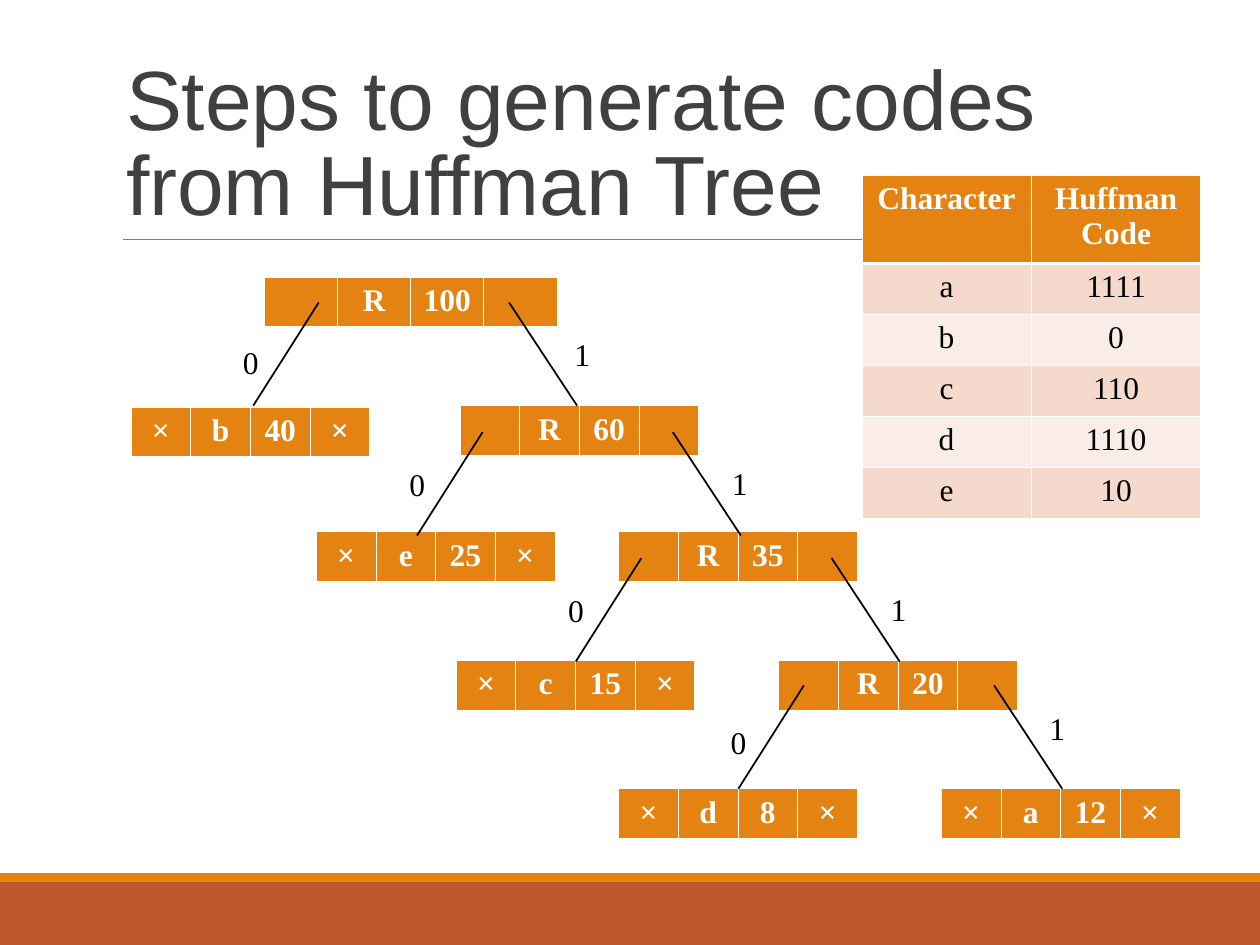
from lxml import etree
from pptx import Presentation
from pptx.dml.color import RGBColor
from pptx.enum.shapes import MSO_CONNECTOR, MSO_SHAPE
from pptx.enum.text import MSO_ANCHOR, MSO_AUTO_SIZE, PP_ALIGN
from pptx.oxml.ns import qn
from pptx.util import Inches, Pt

STRAIGHT = MSO_CONNECTOR.STRAIGHT
RECTANGLE = MSO_SHAPE.RECTANGLE
BOTTOM = MSO_ANCHOR.BOTTOM
NO_FIT = MSO_AUTO_SIZE.NONE
CENTER = PP_ALIGN.CENTER

ORANGE = RGBColor(0xE4, 0x83, 0x12)
RUST = RGBColor(0xBD, 0x58, 0x2C)
PEACH = RGBColor(0xF5, 0xD9, 0xCC)
PALE_PEACH = RGBColor(0xFA, 0xED, 0xE7)
CHARCOAL = RGBColor(0x40, 0x40, 0x40)
GRAY = RGBColor(0x7F, 0x7F, 0x7F)
BLACK = RGBColor(0, 0, 0)
WHITE = RGBColor(0xFF, 0xFF, 0xFF)
SERIF = "Times New Roman"

deck = Presentation()
deck.slide_width = Inches(10)
deck.slide_height = Inches(7.5)
COL = deck.slide_width // 100
ROW = deck.slide_height // 75
slide = deck.slides.add_slide(deck.slide_layouts[5])
shapes = slide.shapes


def draw_line(x1, y1, x2, y2, color, weight):
    line = shapes.add_connector(STRAIGHT, int(x1 * COL), int(y1 * ROW),
                                int(x2 * COL), int(y2 * ROW))
    line.line.color.rgb = color
    line.line.width = Pt(weight)
    etree.SubElement(line._element.spPr, qn("a:effectLst"))


def draw_table(x, y, widths, heights, rows):
    table = shapes.add_table(len(rows), len(widths), int(x * COL), int(y * ROW),
                             int(sum(widths) * COL), int(sum(heights) * ROW)).table
    table.horz_banding = False
    for column, width in zip(table.columns, widths):
        column.width = int(width * COL)
    for r, values in enumerate(rows):
        table.rows[r].height = int(heights[r] * ROW)
        header = r == 0
        for c, value in enumerate(values):
            cell = table.cell(r, c)
            cell.fill.solid()
            cell.fill.fore_color.rgb = ORANGE if header else (PALE_PEACH, PEACH)[r % 2]
            thick_side = {0: "B", 1: "T"}.get(r)
            for position, side in enumerate("LRTB"):
                weight = 1.47 if side == thick_side else 0.45
                border = etree.Element(qn("a:ln" + side), w=str(int(Pt(weight))))
                paint = etree.SubElement(border, qn("a:solidFill"))
                etree.SubElement(paint, qn("a:srgbClr"), val=str(WHITE))
                cell._tc.tcPr.insert(position, border)
            if not value:
                cell.margin_top = cell.margin_bottom = 0
                continue
            paragraph = cell.text_frame.paragraphs[0]
            paragraph.alignment = CENTER
            run = paragraph.add_run()
            run.text = value
            run.font.name = SERIF
            run.font.size = Pt(18)
            run.font.bold = header
            run.font.color.rgb = WHITE if header else BLACK


for band_top, band_height, band_color in [(70, 5, RUST), (69.3, 0.7, ORANGE)]:
    band = shapes.add_shape(RECTANGLE, 0, int(band_top * ROW),
                            deck.slide_width, int(band_height * ROW))
    band.shadow.inherit = False
    band.fill.solid()
    band.fill.fore_color.rgb = band_color
    band.line.fill.background()

draw_line(9.8, 19, 91.5, 19, GRAY, 0.5)

title = shapes.title
title.left, title.top = 9 * COL, int(3.1 * ROW)
title.width, title.height = int(82.5 * COL), int(15.9 * ROW)
title.text_frame.auto_size = NO_FIT
title.text_frame.word_wrap = True
title.text_frame.vertical_anchor = BOTTOM
heading = title.text_frame.paragraphs[0]
heading.alignment = PP_ALIGN.LEFT
heading.line_spacing = 0.85
heading_run = heading.add_run()
heading_run.text = "Steps to generate codes from Huffman Tree"
heading_run.font.name = "Arial"
heading_run.font.size = Pt(48)
heading_run.font.color.rgb = CHARCOAL

tree_nodes = [
    (21, 22, 5.8, "", "R", "100"),
    (10.4, 32.3, 4.74, "×", "b", "40"),
    (36.5, 32.2, 4.74, "", "R", "60"),
    (25.1, 42.2, 4.74, "×", "e", "25"),
    (49.1, 42.2, 4.74, "", "R", "35"),
    (36.2, 52.4, 4.74, "×", "c", "15"),
    (61.8, 52.4, 4.74, "", "R", "20"),
    (49.1, 62.6, 4.74, "×", "d", "8"),
    (74.7, 62.6, 4.74, "×", "a", "12"),
]
for x, y, cell_width, link, symbol, frequency in tree_nodes:
    draw_table(x, y, [cell_width] * 4, [4], [[link, symbol, frequency, link]])

branches = [
    (25.3, 24, (18.3, 26.7), (44.6, 26.1)),
    (38.3, 34.3, (31.5, 36.4), (57.1, 36.3)),
    (50.9, 44.3, (44.1, 46.4), (69.7, 46.3)),
    (63.8, 54.4, (57, 56.9), (82.3, 55.8)),
]
for x, y, zero_at, one_at in branches:
    right_x = x + 15.1
    draw_line(x, y, x - 5.2, y + 8.2, BLACK, 1)
    draw_line(right_x, y, right_x + 5.4, y + 8.2, BLACK, 1)
    for bit, (bit_x, bit_y) in [("0", zero_at), ("1", one_at)]:
        bit_label = shapes.add_textbox(int(bit_x * COL), int(bit_y * ROW),
                                       int(3.2 * COL), 4 * ROW)
        bit_label.text_frame.word_wrap = True
        bit_run = bit_label.text_frame.paragraphs[0].add_run()
        bit_run.text = bit
        bit_run.font.name = SERIF
        bit_run.font.size = Pt(18)
        bit_run.font.color.rgb = BLACK

huffman_codes = [
    ["Character", "Huffman Code"],
    ["a", "1111"],
    ["b", "0"],
    ["c", "110"],
    ["d", "1110"],
    ["e", "10"],
]
draw_table(68.4, 13.9, [13.45] * 2, [7] + [4.05] * 5, huffman_codes)

deck.save("out.pptx")
